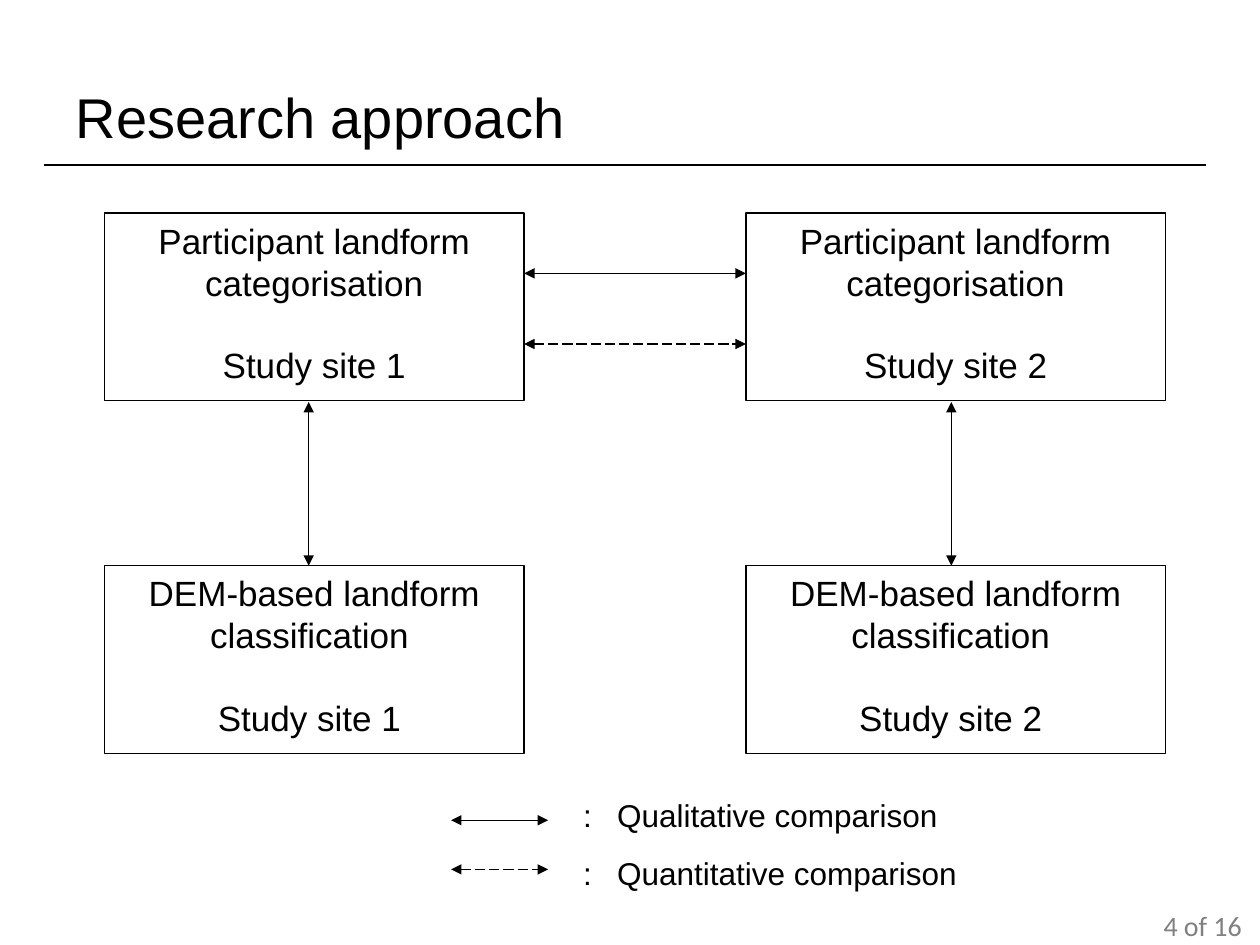
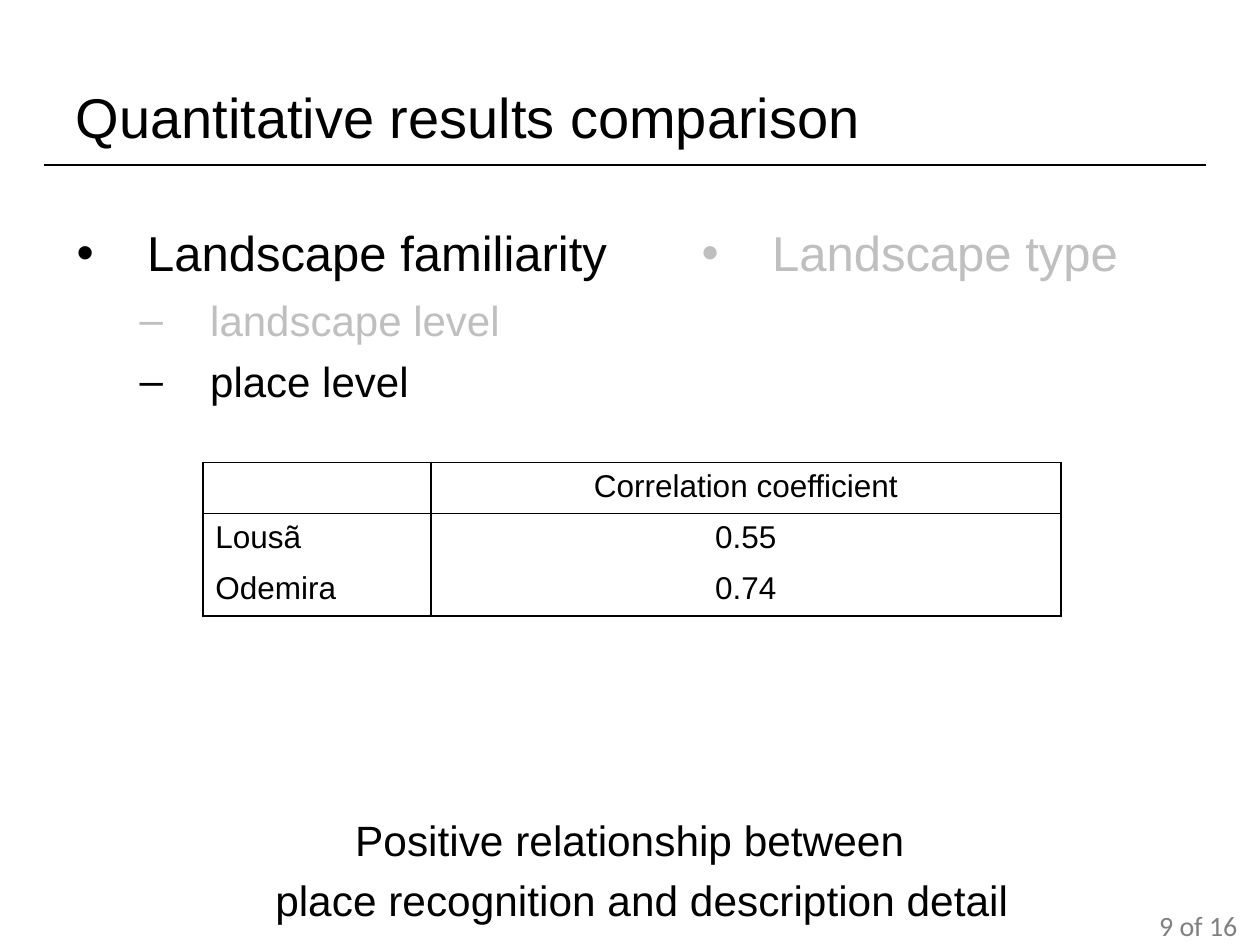
from dataclasses import dataclass
from lxml.etree import SubElement
from pptx import Presentation
from pptx.dml.color import RGBColor
from pptx.enum.dml import MSO_LINE
from pptx.enum.shapes import MSO_CONNECTOR, MSO_SHAPE
from pptx.enum.text import MSO_ANCHOR, PP_ALIGN
from pptx.oxml.ns import qn
from pptx.util import Inches, Pt

BLACK, WHITE, GREY, PALE = "000000", "FFFFFF", "808080", "BFBFBF"
TITLE_ONLY = 5


@dataclass
class Box:
    left: float
    top: float
    width: float
    height: float

    def place(self) -> tuple:
        return tuple(map(Inches, (self.left, self.top, self.width, self.height)))


@dataclass
class Line:
    text: str
    size: float
    color: str = BLACK
    font: str = "Arial"
    align: PP_ALIGN = PP_ALIGN.LEFT
    before: float = 0
    margin: float = 0
    indent: float = 0
    bullet: str = ""
    tab: float = 0


@dataclass
class Arrow:
    x1: float
    y1: float
    x2: float
    y2: float
    dashed: bool = False


def paint(target, color: str) -> None:
    target.rgb = RGBColor.from_string(color)


def write(frame, lines: list[Line]) -> None:
    frame.word_wrap = True
    for index, line in enumerate(lines):
        para = frame.add_paragraph() if index else frame.paragraphs[0]
        props = para._p.get_or_add_pPr()
        if line.margin:
            props.set("marL", str(Inches(line.margin)))
            props.set("indent", str(Inches(line.indent)))
        if line.bullet:
            SubElement(props, qn("a:buFont"), typeface="Arial")
            SubElement(props, qn("a:buChar"), char=line.bullet)
        if line.tab:
            stops = SubElement(props, qn("a:tabLst"))
            SubElement(stops, qn("a:tab"), pos=str(Inches(line.tab)), algn="l")
        para.alignment = line.align
        if line.before:
            para.space_before = Pt(line.before)
        run = para.add_run()
        run.text = line.text
        run.font.name = line.font
        run.font.size = Pt(line.size)
        paint(run.font.color, line.color)


def add_text(slide, box: Box, lines: list[Line]) -> None:
    write(slide.shapes.add_textbox(*box.place()).text_frame, lines)


def add_panel(slide, box: Box, lines: list[Line]) -> None:
    shape = slide.shapes.add_shape(MSO_SHAPE.RECTANGLE, *box.place())
    shape.shadow.inherit = False
    shape.fill.solid()
    paint(shape.fill.fore_color, WHITE)
    paint(shape.line.color, BLACK)
    shape.line.width = Pt(0.75)
    shape.text_frame.vertical_anchor = MSO_ANCHOR.TOP
    write(shape.text_frame, lines)


def add_line(slide, path: Arrow, heads: bool = True) -> None:
    ends = map(Inches, (path.x1, path.y1, path.x2, path.y2))
    rule = slide.shapes.add_connector(MSO_CONNECTOR.STRAIGHT, *ends)
    rule.line.width = Pt(0.75)
    paint(rule.line.color, BLACK)
    if path.dashed:
        rule.line.dash_style = MSO_LINE.LONG_DASH
    if heads:
        stroke = rule.line._get_or_add_ln()
        for end in ("a:headEnd", "a:tailEnd"):
            SubElement(stroke, qn(end), type="triangle")
    SubElement(rule._element.spPr, qn("a:effectLst"))


def add_slide(deck, title: str, page: str, foot: Box):
    slide = deck.slides.add_slide(deck.slide_layouts[TITLE_ONLY])
    head = slide.shapes.title
    head.left, head.top, head.width, head.height = Box(0.5, 0.3, 9, 1.25).place()
    head.text_frame.vertical_anchor = MSO_ANCHOR.MIDDLE
    write(head.text_frame, [Line(title, 32)])
    add_line(slide, Arrow(0.35, 1.31, 9.57, 1.31), heads=False)
    add_text(slide, foot, [Line(page, 16, GREY, "Calibri", PP_ALIGN.CENTER)])
    return slide


def edge_cell(cell, edges: str) -> None:
    props = cell._tc.get_or_add_tcPr()
    for side in "LRTB":
        shown = side in edges
        edge = SubElement(props, qn(f"a:ln{side}"), w=str(Pt(1) if shown else 0))
        fill = SubElement(edge, qn("a:solidFill" if shown else "a:noFill"))
        if shown:
            SubElement(fill, qn("a:srgbClr"), val=BLACK)
    cell.fill.background()


def add_grid(slide, box: Box, widths: list[float], rows: list[tuple[str, str]]) -> None:
    table = slide.shapes.add_table(len(rows), len(widths), *box.place()).table
    table.first_row = table.horz_banding = False
    for col, width in zip(table.columns, widths):
        col.width = Inches(width)
    for row, texts, edges in zip(table.rows, rows, ("LRTB", "LRT", "LRB")):
        row.height = Inches(box.height / len(rows))
        for cell, text, align in zip(row.cells, texts, (PP_ALIGN.LEFT, PP_ALIGN.CENTER)):
            edge_cell(cell, edges)
            if text:
                write(cell.text_frame, [Line(text, 18, align=align)])


def draw_plan(deck) -> None:
    slide = add_slide(deck, "Research approach", "4 of 16", Box(9.09, 7.16, 0.91, 0.37))
    kinds = (
        (1.69, "Participant landform categorisation", ""),
        (4.49, "DEM-based landform classification ", " "),
    )
    for top, text, tail in kinds:
        for site, left in enumerate((0.83, 5.92), 1):
            add_panel(slide, Box(left, top, 3.33, 1.49), [
                Line(text, 20, align=PP_ALIGN.CENTER),
                Line(f"Study site {site}{tail}", 20, align=PP_ALIGN.CENTER, before=23),
            ])
    for x in (2.45, 7.55):
        add_line(slide, Arrow(x, 3.19, x, 4.49))
    keys = (
        ("Qualitative", 2.17, 6.51, 6.27, False),
        ("Quantitative", 2.73, 6.9, 6.73, True),
    )
    for name, link, mark, top, dashed in keys:
        add_line(slide, Arrow(4.16, link, 5.92, link, dashed))
        add_line(slide, Arrow(3.58, mark, 4.35, mark, dashed))
        add_text(slide, Box(4.53, top, 3.89, 0.48),
                 [Line(f":\t{name} comparison", 18, tab=0.27)])


def draw_scores(deck) -> None:
    slide = add_slide(deck, "Quantitative results comparison", "9 of 16",
                      Box(9.02, 7.16, 0.98, 0.37))
    main = dict(size=28, margin=0.56, indent=-0.56, bullet="•")
    sub = dict(size=24, margin=1.06, indent=-0.56, bullet="–")
    add_text(slide, Box(0.51, 1.72, 4.49, 1.56), [
        Line("Landscape familiarity", **main),
        Line("landscape level", color=PALE, before=7.5, **sub),
        Line("place level", before=6, **sub),
    ])
    add_text(slide, Box(5.47, 1.72, 4.09, 0.63),
             [Line("Landscape type", color=PALE, **main)])
    add_grid(slide, Box(1.61, 3.67, 6.81, 1.22), [1.81, 5], [
        ("", "Correlation coefficient"),
        ("Lousã", "0.55"),
        ("Odemira", "0.74"),
    ])
    add_text(slide, Box(0.5, 6.41, 9, 0.95), [
        Line("Positive relationship between", 24.2, align=PP_ALIGN.CENTER),
        Line("place recognition and description detail", 24.2,
             align=PP_ALIGN.CENTER, before=5.6, margin=0.19),
    ])


def main() -> None:
    deck = Presentation()
    deck.slide_width, deck.slide_height = Inches(10), Inches(7.5)
    draw_plan(deck)
    draw_scores(deck)
    deck.save("out.pptx")


if __name__ == "__main__":
    main()
